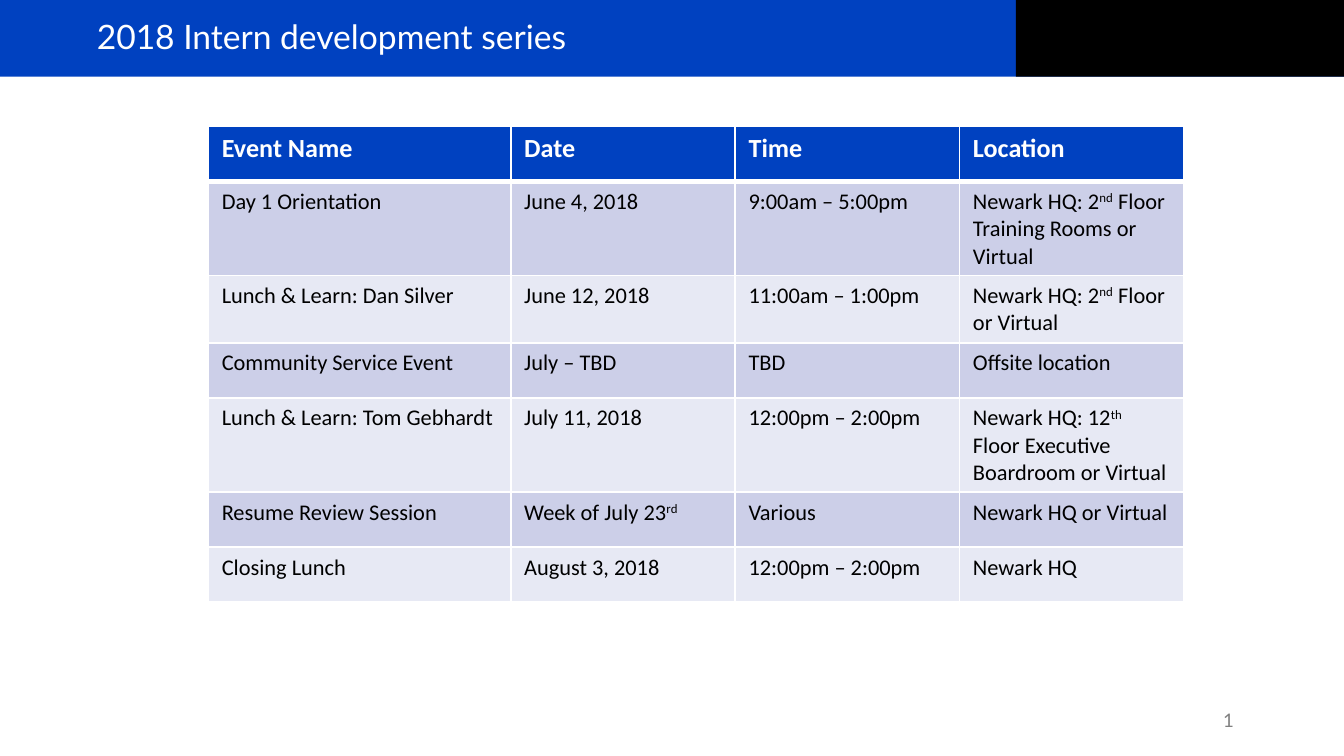
from lxml.etree import SubElement
from pptx import Presentation
from pptx.dml.color import RGBColor
from pptx.enum.shapes import MSO_SHAPE
from pptx.enum.text import MSO_ANCHOR, MSO_AUTO_SIZE, PP_ALIGN
from pptx.oxml.ns import qn
from pptx.util import Inches, Pt

BLUE = RGBColor(0x00, 0x41, 0xC0)
BLACK = RGBColor(0x00, 0x00, 0x00)
WHITE = RGBColor(0xFF, 0xFF, 0xFF)
GRAY = RGBColor(0x80, 0x80, 0x80)
BAND_DARK = RGBColor(0xCC, 0xCF, 0xE8)
BAND_LIGHT = RGBColor(0xE7, 0xE9, 0xF4)

COLUMN_WIDTHS = (2.25, 1.67, 1.67, 1.67)
# Text between ^ marks is superscript.
EVENTS = (
    ("Event Name", "Date", "Time", "Location"),
    ("Day 1 Orientation", "June 4, 2018", "9:00am – 5:00pm",
     "Newark HQ: 2^nd^ Floor Training Rooms or Virtual"),
    ("Lunch & Learn: Dan Silver", "June 12, 2018", "11:00am – 1:00pm",
     "Newark HQ: 2^nd^ Floor or Virtual"),
    ("Community Service Event", "July – TBD", "TBD", "Offsite location"),
    ("Lunch & Learn: Tom Gebhardt", "July 11, 2018", "12:00pm – 2:00pm",
     "Newark HQ: 12^th^ Floor Executive Boardroom or Virtual"),
    ("Resume Review Session", "Week of July 23^rd^", "Various",
     "Newark HQ or Virtual"),
    ("Closing Lunch", "August 3, 2018", "12:00pm – 2:00pm", "Newark HQ"),
)


def set_font(font, name, size, color, bold=False):
    font.name, font.size, font.bold = name, Pt(size), bold
    font.color.rgb = color


def add_bar(s, left, width, height, color):
    bar = s.shapes.add_shape(MSO_SHAPE.RECTANGLE, left, 0, width, height)
    bar.shadow.inherit = False
    bar.fill.solid()
    bar.fill.fore_color.rgb = color
    bar.line.fill.background()


def add_header(s, width, height, text):
    split = Inches(7.56)
    add_bar(s, 0, width, height, BLUE)
    add_bar(s, split, width - split, height, BLACK)
    title = s.shapes.title
    s.shapes.element.append(title.element)  # bring the title in front of the bars
    title.left, title.top = Inches(0.72), Inches(0.12)
    title.width, title.height = Inches(8.9), Inches(0.53)
    tf = title.text_frame
    tf.text = text
    tf.margin_left = tf.margin_right = tf.margin_top = tf.margin_bottom = 0
    tf.vertical_anchor = MSO_ANCHOR.TOP
    tf.auto_size = MSO_AUTO_SIZE.NONE
    p = tf.paragraphs[0]
    p.alignment = PP_ALIGN.LEFT
    set_font(p.font, "Lato", 18, WHITE)


def add_slide_number(s, left, top, width, height):
    tf = s.shapes.add_textbox(left, top, width, height).text_frame
    tf.word_wrap = True
    tf.vertical_anchor = MSO_ANCHOR.MIDDLE
    p = tf.paragraphs[0]
    p.alignment = PP_ALIGN.RIGHT
    r = p.add_run()
    r.text = "1"
    set_font(r.font, "Lato", 10, GRAY)
    field = r._r  # turn the run into a live slide number
    field.tag = qn("a:fld")
    field.set("id", "{B6F15528-21DE-4FAA-801E-634DDDAF4B2B}")
    field.set("type", "slidenum")


def set_borders(cell, top, bottom):
    """Draw white cell borders; top and bottom are widths in points."""
    tc_pr = cell._tc.get_or_add_tcPr()
    for side, width in (("L", 1), ("R", 1), ("T", top), ("B", bottom)):
        line = SubElement(tc_pr, qn(f"a:ln{side}"), w=str(Pt(width)))
        fill = SubElement(line, qn("a:solidFill"))
        SubElement(fill, qn("a:srgbClr"), val=str(WHITE))


def fill_cell(cell, text, row):
    is_header = row == 0
    set_borders(cell, 3 if row == 1 else 1, 3 if is_header else 1)
    cell.fill.solid()
    cell.fill.fore_color.rgb = BLUE if is_header else (BAND_LIGHT, BAND_DARK)[row % 2]
    p = cell.text_frame.paragraphs[0]
    size, color = (14, WHITE) if is_header else (12, BLACK)
    set_font(p.font, "Calibri", size, color, is_header)
    for i, part in enumerate(text.split("^")):
        if part:
            r = p.add_run()
            r.text = part
            if i % 2:
                r._r.get_or_add_rPr().set("baseline", "30000")


def add_schedule(s, left, top, row_height):
    table = s.shapes.add_table(
        len(EVENTS), len(COLUMN_WIDTHS), left, top,
        Inches(sum(COLUMN_WIDTHS)), row_height * len(EVENTS)).table
    for column, width in zip(table.columns, COLUMN_WIDTHS):
        column.width = Inches(width)
    for i, event in enumerate(EVENTS):
        table.rows[i].height = row_height
        for j, text in enumerate(event):
            fill_cell(table.cell(i, j), text, i)


def main():
    prs = Presentation()
    prs.slide_width = Inches(10)
    prs.slide_height = prs.slide_width * 9 // 16
    s = prs.slides.add_slide(prs.slide_layouts[5])
    add_header(s, prs.slide_width, Inches(0.57), "2018 Intern development series")
    add_slide_number(s, Inches(8.62), Inches(5.21), Inches(0.66), Inches(0.3))
    add_schedule(s, Inches(1.55), Inches(0.94), Inches(0.41))
    prs.save("out.pptx")


if __name__ == "__main__":
    main()
